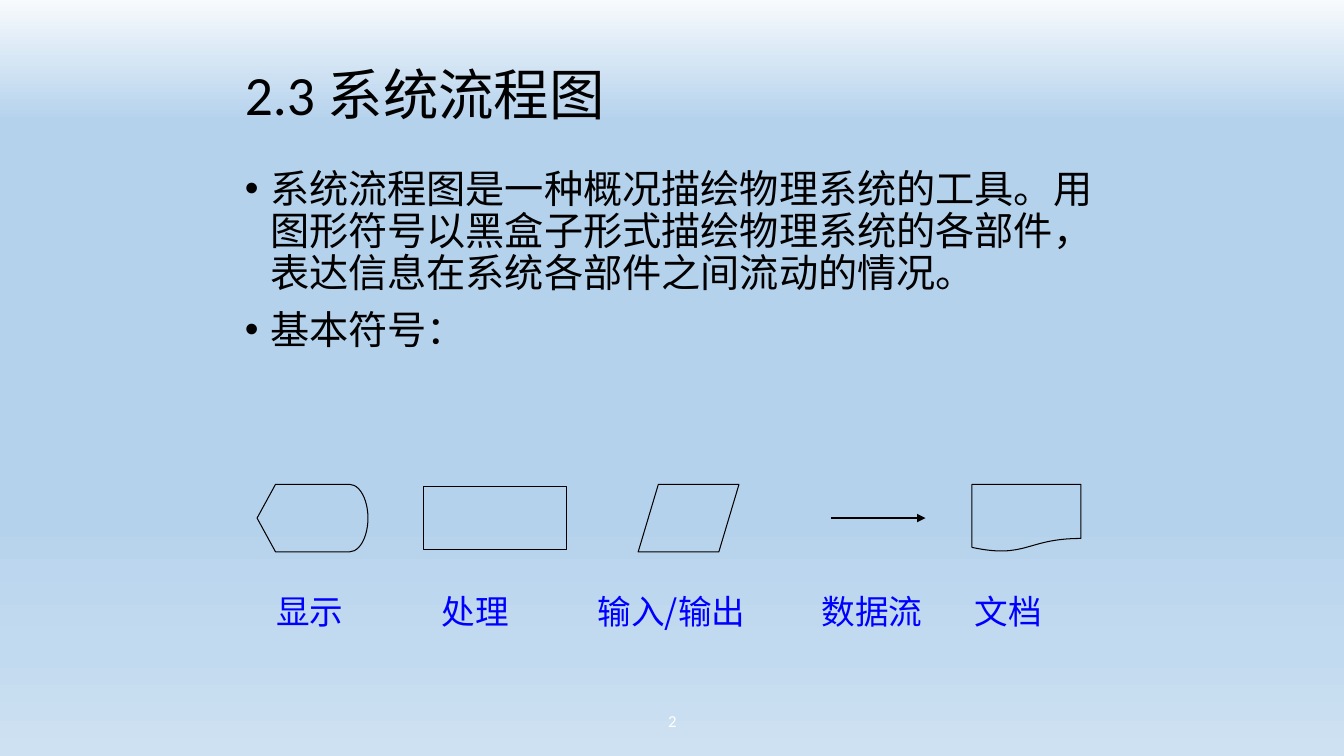
import pptx
import pptx.dml.color
import pptx.enum.shapes
import pptx.enum.text
import pptx.oxml.ns
import pptx.util
from lxml import etree

Inches = pptx.util.Inches
Pt = pptx.util.Pt
RGBColor = pptx.dml.color.RGBColor
SHAPE = pptx.enum.shapes.MSO_SHAPE
ALIGN = pptx.enum.text.PP_ALIGN
ANCHOR = pptx.enum.text.MSO_ANCHOR
qn = pptx.oxml.ns.qn

BLACK = RGBColor(0x00, 0x00, 0x00)
WHITE = RGBColor(0xFF, 0xFF, 0xFF)
BLUE = RGBColor(0x00, 0x00, 0xFF)
BACKGROUND_STOPS = [
    (0, RGBColor(0xF7, 0xFA, 0xFD)),
    (16, RGBColor(0xB5, 0xD2, 0xEC)),
    (71, RGBColor(0xB8, 0xD4, 0xED)),
    (86, RGBColor(0xC2, 0xDA, 0xEF)),
    (100, RGBColor(0xCE, 0xE1, 0xF2)),
]
LATIN_FONT = "Calibri"
CHINESE_FONT = "Noto Sans CJK SC"

TITLE_FORMAT = {"size": Pt(39.6), "name": LATIN_FONT, "color": BLACK}
BODY_FORMAT = {"size": Pt(28), "name": LATIN_FONT, "color": BLACK}
LABEL_FORMAT = {"size": Pt(24), "name": CHINESE_FONT, "color": BLUE}
NUMBER_FORMAT = {"size": Pt(12), "name": LATIN_FONT, "color": WHITE}

BODY_TEXTS = [
    "系统流程图是一种概况描绘物理系统的工具。用图形符号以黑盒子形式描绘物理系统的各部件，表达信息在系统各部件之间流动的情况。",
    "基本符号：",
]
SYMBOLS = [
    (SHAPE.FLOWCHART_DISPLAY, 0.13, 1.1, 0.67),
    (SHAPE.FLOWCHART_PROCESS, 1.78, 1.42, 0.63),
    (SHAPE.FLOWCHART_DATA, 3.91, 1, 0.67),
    (SHAPE.FLOWCHART_DOCUMENT, 7.22, 1.08, 0.67),
]
LABELS = [("显示", 0.22), ("处理", 1.86), ("输入/输出", 3.41), ("数据流", 5.63), ("文档", 7.15)]


def add_background(slide):
    fill = slide.background.fill
    fill.gradient()
    fill.gradient_angle = 270
    stop_list = slide.element.find(".//" + qn("a:gsLst"))
    for stop in list(stop_list):
        stop_list.remove(stop)
    for percent, color in BACKGROUND_STOPS:
        stop = etree.SubElement(stop_list, qn("a:gs"), pos=str(percent * 1000))
        etree.SubElement(stop, qn("a:srgbClr"), val=str(color))


def format_font(run, values):
    for name, value in values.items():
        if name == "color":
            run.font.color.rgb = value
        else:
            setattr(run.font, name, value)
    etree.SubElement(run.font._element, qn("a:ea"), typeface=CHINESE_FONT)


def add_text(slide, box, texts, font_format, anchor=ANCHOR.TOP, **paragraph_format):
    text_box = slide.shapes.add_textbox(*[Inches(length) for length in box])
    frame = text_box.text_frame
    frame.word_wrap = True
    frame.vertical_anchor = anchor
    for index, text in enumerate(texts):
        paragraph = frame.paragraphs[0] if index == 0 else frame.add_paragraph()
        for name, value in paragraph_format.items():
            setattr(paragraph, name, value)
        run = paragraph.add_run()
        run.text = text
        format_font(run, font_format)
    return frame.paragraphs


def add_body(slide, box):
    paragraphs = add_text(slide, box, BODY_TEXTS, BODY_FORMAT, line_spacing=0.9)
    for paragraph in paragraphs:
        properties = paragraph._p.get_or_add_pPr()
        properties.set("marL", str(Inches(0.25)))
        properties.set("indent", str(Inches(-0.25)))
        etree.SubElement(properties, qn("a:buFont"), typeface="Arial")
        etree.SubElement(properties, qn("a:buChar"), char="•")
    for paragraph in paragraphs[1:]:
        paragraph.space_before = Pt(10)


def add_data_flow(slide, start, end, middle):
    arrow = slide.shapes.add_connector(
        pptx.enum.shapes.MSO_CONNECTOR.STRAIGHT,
        Inches(start), Inches(middle), Inches(end), Inches(middle),
    )
    arrow.line.color.rgb = BLACK
    arrow.line.width = Pt(1.75)
    etree.SubElement(arrow.line._get_or_add_ln(), qn("a:tailEnd"), type="triangle")
    etree.SubElement(arrow._element.spPr, qn("a:effectLst"))


def add_symbols(slide, box):
    left, top, width, height = box
    middle = top + 0.34
    for preset, offset, symbol_width, symbol_height in SYMBOLS:
        symbol = slide.shapes.add_shape(
            preset, Inches(left + offset), Inches(middle - symbol_height / 2),
            Inches(symbol_width), Inches(symbol_height),
        )
        symbol.shadow.inherit = False
        symbol.fill.background()
        symbol.line.color.rgb = BLACK
        symbol.line.width = Pt(0.75)
    add_data_flow(slide, left + 5.82, left + 6.76, middle)
    label_box = (left, top + 1.01, width, height - 1.01)
    label_line = "".join("\t" + label for label, offset in LABELS)
    paragraph = add_text(slide, label_box, [label_line], LABEL_FORMAT)[0]
    tab_list = etree.SubElement(paragraph._p.get_or_add_pPr(), qn("a:tabLst"))
    for label, offset in LABELS:
        etree.SubElement(tab_list, qn("a:tab"), pos=str(Inches(offset)), algn="l")


def build_flowchart_slide(presentation):
    slide = presentation.slides.add_slide(presentation.slide_layouts[6])
    add_background(slide)
    add_text(slide, (2.33, 0.62, 8.75, 0.7), ["2.3 系统流程图"], TITLE_FORMAT,
             ANCHOR.MIDDLE, line_spacing=0.9)
    add_body(slide, (2.33, 1.63, 8.75, 2.9))
    add_symbols(slide, (2.42, 4.8, 8.42, 1.51))
    add_text(slide, (4.42, 6.95, 4.5, 0.4), ["2"], NUMBER_FORMAT,
             ANCHOR.MIDDLE, alignment=ALIGN.CENTER)


def main():
    presentation = pptx.Presentation()
    presentation.slide_width = Inches(13.33)
    presentation.slide_height = Inches(7.5)
    build_flowchart_slide(presentation)
    presentation.save("out.pptx")


if __name__ == "__main__":
    main()
